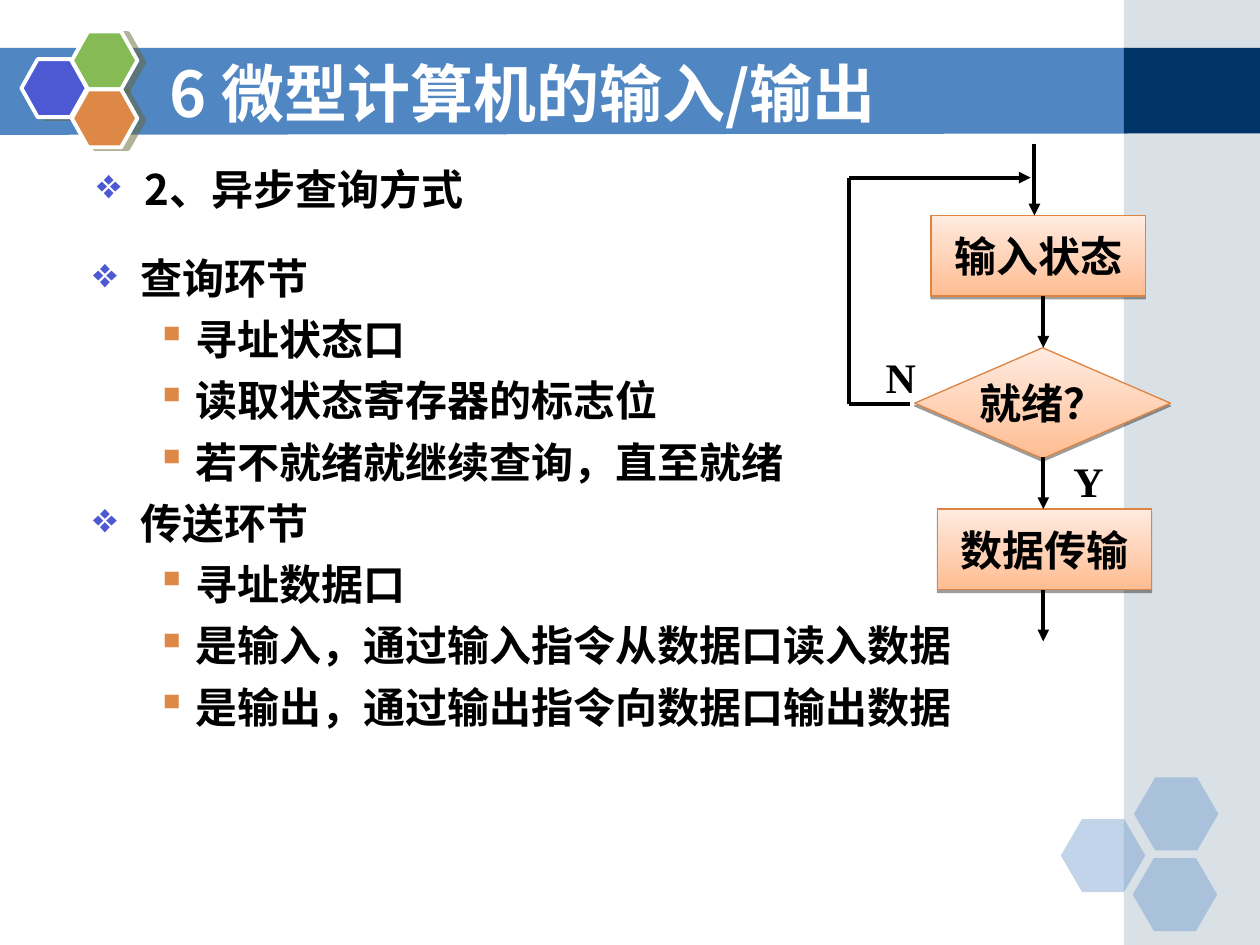
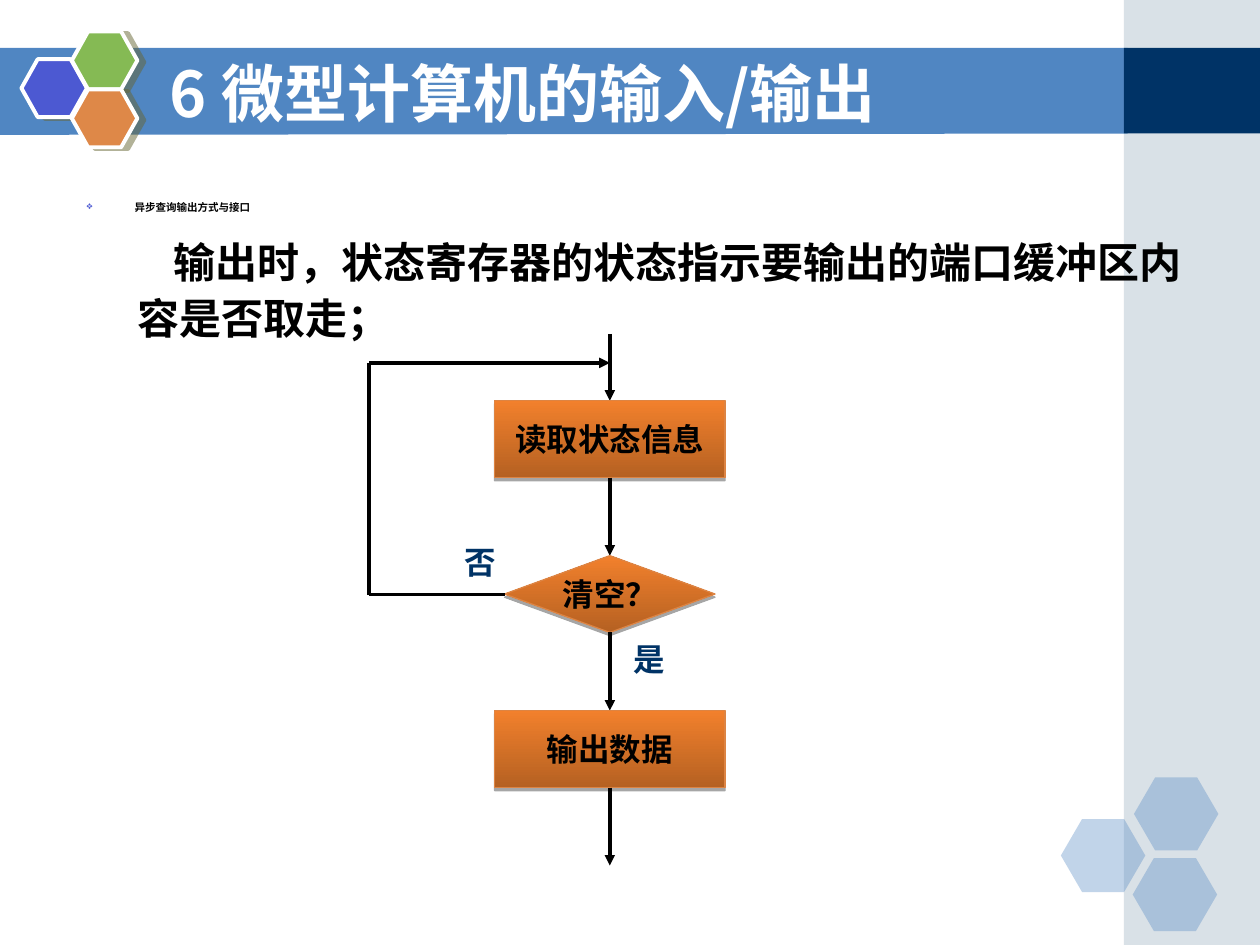
from dataclasses import dataclass

from lxml import etree
from pptx import Presentation
from pptx import util as u
from pptx.dml.color import RGBColor
from pptx.enum import shapes, text
from pptx.oxml import ns

COLOURS = {
    "band": "5086C2", "side": "A0B5C4", "navy": "003366", "white": "FFFFFF",
    "black": "000000", "blue": "4C59D2", "green": "85BA54", "orange": "DE8848",
    "logo_shadow": "666633", "node_line": "DD8443",
    "peach_top": "FFEBE0", "peach_bottom": "FFBD92",
    "rust_top": "F2802C", "rust_bottom": "B56122",
}
CJK_FONT = "Noto Sans CJK SC"
TITLE = "6 微型计算机的输入/输出"
SHAPE = shapes.MSO_SHAPE
# bullet character, colour, left margin, hanging indent
BULLETS = {"section": ("❖", "blue", 0.38, -0.38), "item": ("▪", "orange", 0.81, -0.31)}


@dataclass
class FlowStyle:
    """Look of one flow chart."""
    top: str
    bottom: str
    font: str
    size: int
    line_width: float
    label_colour: str
    shadow_alpha: int
    shadow_distance: float


PEACH_FLOW = FlowStyle("peach_top", "peach_bottom", "Times New Roman", 24, 2.25, "black", 38, 1.6)
RUST_FLOW = FlowStyle("rust_top", "rust_bottom", "Arial", 18, 2, "navy", 35, 1.8)


def rgb(name):
    return RGBColor.from_string(COLOURS[name])


def add_xml(parent, tag, **attributes):
    values = {key: str(value) for key, value in attributes.items()}
    return etree.SubElement(parent, ns.qn(tag), values)


def inches(*lengths):
    return [u.Inches(length) for length in lengths]


class Deck:
    def __init__(self):
        self.presentation = Presentation()
        self.presentation.slide_width, self.presentation.slide_height = inches(10, 7.5)
        self.slide = None
        self.flow = None

    def new_slide(self, flow):
        """Start a slide with the shared bands, hexagons and title."""
        self.slide = self.presentation.slides.add_slide(self.presentation.slide_layouts[6])
        self.flow = flow
        self.title_band()
        self.preset(SHAPE.RECTANGLE, (8.92, 0, 1.08, 7.5), "side", alpha=40)
        self.preset(SHAPE.RECTANGLE, (8.92, 0.38, 1.08, 0.68), "navy")
        for left, top in ((8.42, 6.5), (9, 6.17), (8.99, 6.81)):
            hexagon = self.preset(SHAPE.HEXAGON, (left, top, 0.67, 0.58), "band", alpha=35)
            hexagon.adjustments[0] = 0.29
        for left, top, colour in ((0.17, 0.47, "blue"), (0.57, 0.25, "green"), (0.57, 0.71, "orange")):
            hexagon = self.preset(SHAPE.HEXAGON, (left, top, 0.52, 0.46), colour)
            hexagon.adjustments[0] = 0.28
            hexagon.line.color.rgb = rgb("white")
            hexagon.line.width = u.Pt(2.25)
            self.shadow(hexagon, "logo_shadow", 50, 4.1, 14)
        self.text_box((1.25, 0.42, 7.33, 0.62), [TITLE], CJK_FONT, 36, "white",
                      anchor=text.MSO_ANCHOR.MIDDLE)

    def title_band(self):
        builder = self.slide.shapes.build_freeform(*inches(-0.01, 0.38))
        corners = [(8.95, 0.38), (8.95, 1.06), (-0.01, 1.07)]
        builder.add_line_segments([inches(*corner) for corner in corners], close=True)
        self.paint(builder.convert_to_shape(), "band")

    def paint(self, shape, colour):
        shape.fill.solid()
        shape.fill.fore_color.rgb = rgb(colour)
        shape.line.fill.background()
        shape.shadow.inherit = False

    def preset(self, kind, box, colour, alpha=None):
        shape = self.slide.shapes.add_shape(kind, *inches(*box))
        self.paint(shape, colour)
        if alpha:
            fill = shape._element.spPr.find(ns.qn("a:solidFill"))
            add_xml(fill[0], "a:alpha", val=alpha * 1000)
        return shape

    def shadow(self, shape, colour, alpha, distance, angle):
        effects = shape._element.spPr.find(ns.qn("a:effectLst"))
        outer = add_xml(effects, "a:outerShdw", blurRad=0, dist=int(u.Pt(distance)),
                        dir=angle * 60000, algn="ctr", rotWithShape=0)
        add_xml(add_xml(outer, "a:srgbClr", val=COLOURS[colour]), "a:alpha", val=alpha * 1000)

    def format_runs(self, paragraph, font, size, colour):
        for run in paragraph.runs:
            run.font.name = font
            run.font.size = u.Pt(size)
            run.font.bold = True
            run.font.color.rgb = rgb(colour)
            add_xml(run._r.get_or_add_rPr(), "a:ea", typeface=CJK_FONT)

    def text_box(self, box, lines, font, size, colour="black", line_height=None,
                 bullets=None, indent=0, anchor=text.MSO_ANCHOR.TOP):
        frame = self.slide.shapes.add_textbox(*inches(*box)).text_frame
        frame.word_wrap = True
        frame.vertical_anchor = anchor
        frame.text = "\n".join(lines)
        for index, paragraph in enumerate(frame.paragraphs):
            if bullets:
                self.bullet(paragraph, bullets[index])
            elif indent:
                paragraph._p.get_or_add_pPr().set("indent", str(u.Inches(indent)))
            if line_height:
                paragraph.line_spacing = u.Pt(line_height)
            if index:
                paragraph.space_before = u.Pt(6)
            self.format_runs(paragraph, font, size, colour)

    def bullet(self, paragraph, level):
        character, colour, margin, indent = BULLETS[level]
        properties = paragraph._p.get_or_add_pPr()
        properties.set("marL", str(u.Inches(margin)))
        properties.set("indent", str(u.Inches(indent)))
        add_xml(add_xml(properties, "a:buClr"), "a:srgbClr", val=COLOURS[colour])
        add_xml(properties, "a:buChar", char=character)

    def node(self, kind, box, caption):
        shape = self.preset(kind, box, "white")
        shape.fill.gradient()
        shape.fill.gradient_angle = 90
        for stop, colour in zip(shape.fill.gradient_stops, (self.flow.bottom, self.flow.top)):
            stop.color.rgb = rgb(colour)
        shape.line.color.rgb = rgb("node_line")
        shape.line.width = u.Pt(0.75)
        self.shadow(shape, "black", self.flow.shadow_alpha, self.flow.shadow_distance, 90)
        frame = shape.text_frame
        frame.word_wrap = False
        frame.vertical_anchor = text.MSO_ANCHOR.MIDDLE
        frame.text = caption
        frame.paragraphs[0].alignment = text.PP_ALIGN.CENTER
        self.format_runs(frame.paragraphs[0], self.flow.font, self.flow.size, "black")

    def line(self, start, end, arrow=True):
        connector = self.slide.shapes.add_connector(
            shapes.MSO_CONNECTOR.STRAIGHT, *inches(*start, *end))
        connector.line.color.rgb = rgb("black")
        connector.line.width = u.Pt(self.flow.line_width)
        if arrow:
            add_xml(connector.line._get_or_add_ln(), "a:tailEnd", type="triangle")
        add_xml(connector._element.spPr, "a:effectLst")

    def loop_back(self, start, corner_x, end):
        """Lead from the decision round the left side back to the entry."""
        self.line(start, (corner_x, start[1]), arrow=False)
        self.line((corner_x, start[1]), (corner_x, end[1]), arrow=False)
        self.line((corner_x, end[1]), end)

    def label(self, box, caption):
        self.text_box(box, [caption], self.flow.font, self.flow.size, self.flow.label_colour)


def input_slide(deck):
    deck.new_slide(PEACH_FLOW)
    deck.text_box((0.67, 1.23, 8.66, 4.8), ["2、异步查询方式"], CJK_FONT, 24,
                  line_height=30, bullets=["section"])
    outline = [
        ("section", "查询环节"),
        ("item", "寻址状态口"),
        ("item", "读取状态寄存器的标志位"),
        ("item", "若不就绪就继续查询，直至就绪"),
        ("section", "传送环节"),
        ("item", "寻址数据口"),
        ("item", "是输入，通过输入指令从数据口读入数据"),
        ("item", "是输出，通过输出指令向数据口输出数据"),
    ]
    levels, lines = zip(*outline)
    deck.text_box((0.64, 1.95, 7.36, 4.79), lines, "Times New Roman", 24,
                  line_height=29, bullets=levels)
    deck.node(SHAPE.RECTANGLE, (7.39, 1.71, 1.7, 0.64), "输入状态")
    deck.node(SHAPE.DIAMOND, (7.26, 2.76, 2.03, 0.88), "就绪？")
    deck.node(SHAPE.RECTANGLE, (7.44, 4.04, 1.7, 0.64), "数据传输")
    deck.line((8.21, 1.14), (8.21, 1.71))
    for top in (2.35, 3.63, 4.68):
        deck.line((8.28, top), (8.28, top + 0.41))
    deck.loop_back((7.22, 3.21), 6.74, (8.18, 1.41))
    deck.label((8.42, 3.57, 0.68, 0.5), "Y")
    deck.label((6.93, 2.74, 0.68, 0.5), "N")


def output_slide(deck):
    deck.new_slide(RUST_FLOW)
    deck.text_box((0.59, 1.23, 8.66, 0.55), ["异步查询输出方式与接口"], CJK_FONT, 6,
                  line_height=30, bullets=["section"])
    deck.text_box((0.99, 1.78, 8.5, 2.34),
                  ["输出时，状态寄存器的状态指示要输出的端口缓冲区内容是否取走；"],
                  CJK_FONT, 24, line_height=32, indent=0.29)
    centre, first_top, step, height = 4.84, 3.18, 1.23, 0.61
    steps = [
        (SHAPE.RECTANGLE, 1.83, "读取状态信息"),
        (SHAPE.FLOWCHART_DECISION, 1.67, "清空？"),
        (SHAPE.RECTANGLE, 1.83, "输出数据"),
    ]
    deck.line((centre, 2.65), (centre, first_top))
    for index, (kind, width, caption) in enumerate(steps):
        top = first_top + index * step
        deck.node(kind, (centre - width / 2, top, width, height), caption)
        deck.line((centre, top + height), (centre, top + step))
    deck.loop_back((4.01, 4.72), 2.93, (centre, 2.88))
    deck.label((4.93, 5.03, 0.58, 0.4), "是")
    deck.label((3.59, 4.26, 0.58, 0.4), "否")


def main():
    deck = Deck()
    input_slide(deck)
    output_slide(deck)
    deck.presentation.save("out.pptx")


if __name__ == "__main__":
    main()
